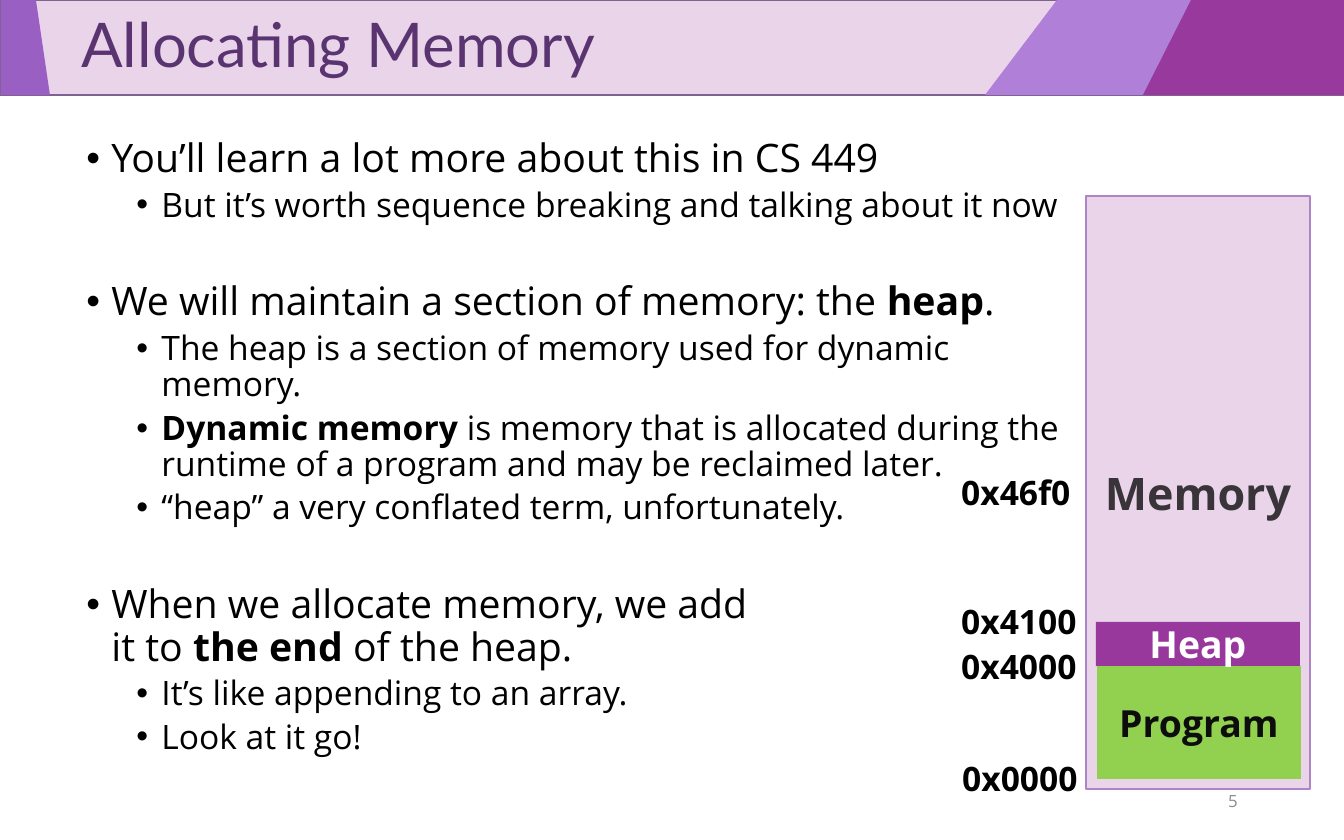
from lxml import etree
from pptx import Presentation
from pptx.dml.color import RGBColor
from pptx.enum.shapes import MSO_SHAPE
from pptx.enum.text import MSO_ANCHOR, MSO_AUTO_SIZE, PP_ALIGN
from pptx.oxml.ns import qn
from pptx.util import Pt

RECTANGLE = MSO_SHAPE.RECTANGLE
MIDDLE, TOP = MSO_ANCHOR.MIDDLE, MSO_ANCHOR.TOP
LEFT, CENTER, RIGHT = PP_ALIGN.LEFT, PP_ALIGN.CENTER, PP_ALIGN.RIGHT
NO_AUTOFIT = MSO_AUTO_SIZE.NONE
BODY_FONT, TITLE_FONT = "Open Sans", "Lato"
LILAC = "E9D4E9"
WIDTH, HEIGHT = 1344, 840
LINE_SPACING = 0.9

# Bullets: level, space before in points, runs of (text, bold)
SECTION_GAP = 30.9
BULLETS = [
    (0, 7.5, [("You’ll learn a lot more about this in CS 449", False)]),
    (1, 3.8, [("But it’s worth sequence breaking and talking about it now", False)]),
    (0, SECTION_GAP, [("We will maintain a section of memory: the ", False),
                      ("heap", True), (".", False)]),
    (1, 3.8, [("The heap is a section of memory used for dynamic memory.", False)]),
    (1, 3.8, [("Dynamic memory ", True),
              ("is memory that is allocated during the runtime of a program "
               "and may be reclaimed later.", False)]),
    (1, 3.8, [("“heap” a very conflated term, unfortunately.", False)]),
    (0, SECTION_GAP, [("When we allocate memory, we add\nit to ", False),
                      ("the end", True), (" of the heap.", False)]),
    (1, 3.8, [("It’s like appending to an array.", False)]),
    (1, 3.8, [("Look at it go!", False)]),
]
LEVELS = [(21, 25), (18, 75)]  # text size in points, indent in pixels
HANGING = 25


def px(length):
    return round(length * 914400 / 134.4)


def color(hex_string):
    return RGBColor.from_string(hex_string)


def place(part, left, top, width, height):
    part.left, part.top, part.width, part.height = map(px, (left, top, width, height))


def paint(shape, fill, line=None):
    shape.shadow.inherit = False
    shape.fill.solid()
    shape.fill.fore_color.rgb = color(fill)
    if line:
        shape.line.color.rgb = color(line)
        shape.line.width = Pt(1)
    else:
        shape.line.fill.background()


def add_run(paragraph, text, size, ink, bold=False, font=BODY_FONT):
    run = paragraph.add_run()
    run.text = text
    run.font.size, run.font.bold, run.font.name = Pt(size), bold, font
    run.font.color.rgb = color(ink)


def write(frame, text, size, ink, bold=False, font=BODY_FONT, align=LEFT, anchor=MIDDLE):
    frame.vertical_anchor = anchor
    frame.paragraphs[0].alignment = align
    add_run(frame.paragraphs[0], text, size, ink, bold, font)


def add_block(slide, box, fill, line=None):
    block = slide.shapes.add_shape(RECTANGLE, *map(px, box))
    paint(block, fill, line)
    return block


def add_label(slide, box, text, size, ink, bold=False, align=LEFT, anchor=TOP):
    label = slide.shapes.add_textbox(*map(px, box))
    label.text_frame.word_wrap = False
    write(label.text_frame, text, size, ink, bold, align=align, anchor=anchor)


def add_header(slide, left, top, width, height):
    add_block(slide, (left, top, width, height), LILAC, "806292")
    # Slanted bands: top left, top right, bottom right, bottom left
    bands = [
        ("B07FD8", (1057, width, width, 985)),
        ("995FC2", (1, 36, 50, 1)),
        ("98399D", (1191, width, width, 1143)),
    ]
    for fill, xs in bands:
        corners = [(px(left + x), px(top + y)) for x, y in zip(xs, (0, 0, height, height))]
        outline = slide.shapes.build_freeform(*corners[0], scale=1.0)
        outline.add_line_segments(corners[1:], close=True)
        paint(outline.convert_to_shape(), fill)

    # Title, brought in front of the bands
    title = slide.shapes.title
    title.element.getparent().append(title.element)
    place(title, left + 1, top, width, height)
    title.text_frame.auto_size = NO_AUTOFIT
    write(title.text_frame, "Allocating Memory", 33, "5A3471", font=TITLE_FONT)
    heading = title.text_frame.paragraphs[0]
    heading.line_spacing = LINE_SPACING
    heading._p.get_or_add_pPr().set("marL", str(px(67)))


def add_bullets(slide, left, top, width, height):
    body = slide.placeholders[1]
    place(body, left, top, width, height)
    frame = body.text_frame
    frame.auto_size = NO_AUTOFIT
    for index, (level, space, runs) in enumerate(BULLETS):
        item = frame.add_paragraph() if index else frame.paragraphs[0]
        size, indent = LEVELS[level]
        item.level, item.line_spacing, item.space_before = level, LINE_SPACING, Pt(space)
        properties = item._p.get_or_add_pPr()
        properties.set("marL", str(px(indent)))
        properties.set("indent", str(-px(HANGING)))
        etree.SubElement(properties, qn("a:buFont")).set("typeface", "Arial")
        etree.SubElement(properties, qn("a:buChar")).set("char", "•")
        for text, bold in runs:
            for number, part in enumerate(text.split("\n")):
                if number:
                    item.add_line_break()
                add_run(item, part, size, "000000", bold)


def add_memory_map(slide, left, top, width, height):
    # Memory and the regions inside it
    regions = [
        ((0, 0, width, height), "Memory", 24, "393439", LILAC, "AD84C6"),
        ((11, 470, 204, 113), "Program", 20, "0D0D0D", "92D050", None),
        ((10, 426, 204, 44), "Heap", 20, "FFFFFF", "98389D", None),
    ]
    for (x, y, w, h), name, size, ink, fill, line in regions:
        region = add_block(slide, (left + x, top + y, w, h), fill, line)
        write(region.text_frame, name, size, ink, True, align=CENTER)

    # Addresses to the left
    addresses = [("0x0000", -137, 555, 144), ("0x4000", -138, 443, 144),
                 ("0x4100", -138, 398, 144), ("0x46f0", -138, 269, 137)]
    for address, x, y, w in addresses:
        add_label(slide, (left + x, top + y, w, 54), address, 18, "000000", True)


presentation = Presentation()
presentation.slide_width, presentation.slide_height = px(WIDTH), px(HEIGHT)
slide = presentation.slides.add_slide(presentation.slide_layouts[1])
add_header(slide, 0, 0, WIDTH, 95)
add_bullets(slide, 73, 132, 1024, 692)
add_label(slide, (949, 779, 302, 44), "5", 9, "8C8C8C", align=RIGHT, anchor=MIDDLE)
add_memory_map(slide, 1086, 196, 224, 593)
presentation.save("out.pptx")
